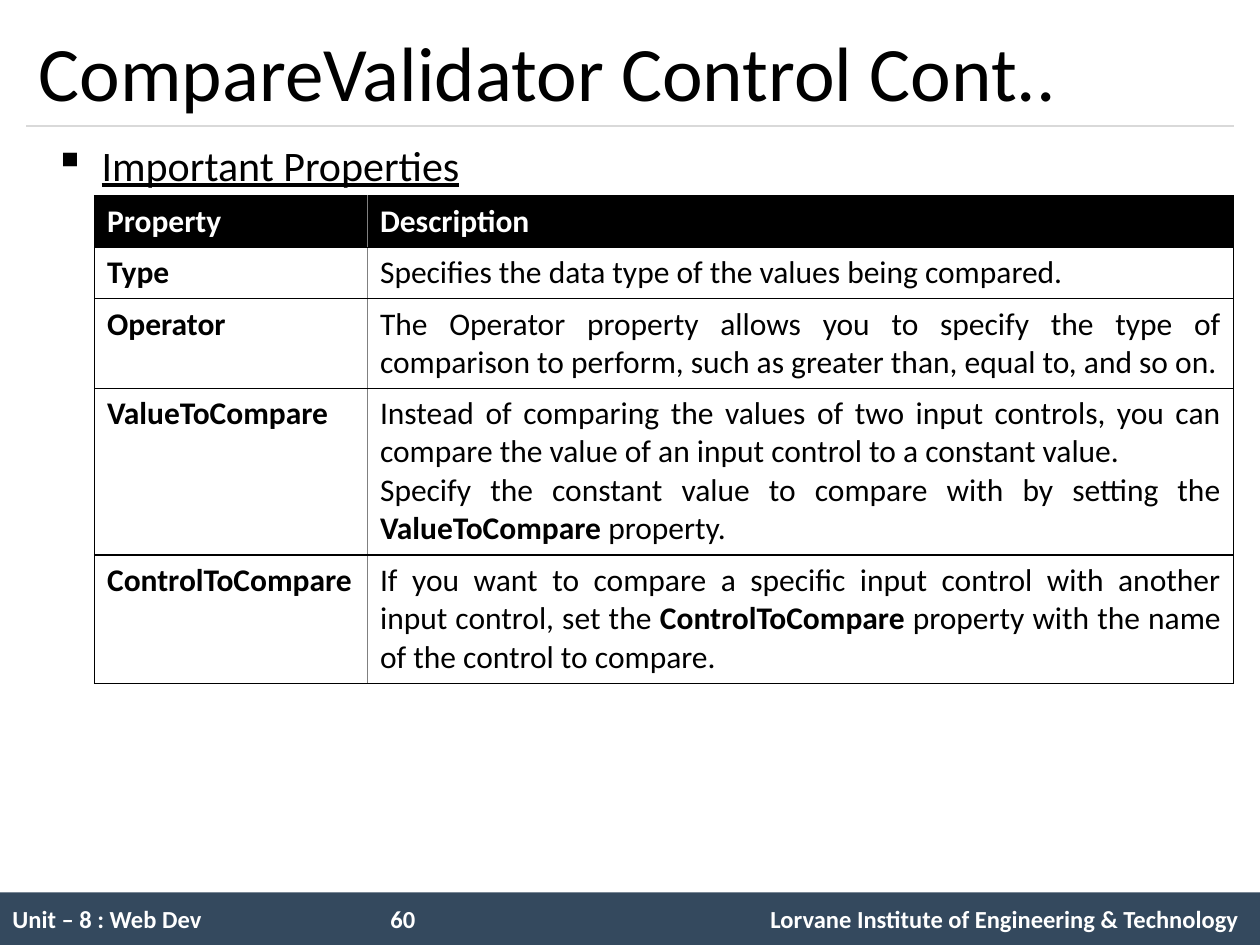
from typing import Any, NamedTuple

from lxml import etree
from pptx import Presentation, util as u
from pptx.dml.color import RGBColor
from pptx.enum import shapes as sh, text as tx
from pptx.oxml import ns

BLACK = RGBColor(0x00, 0x00, 0x00)
WHITE = RGBColor(0xFF, 0xFF, 0xFF)
SLATE = RGBColor(0x34, 0x49, 0x5E)
PALE = RGBColor(0xD9, 0xD9, 0xD9)
GREY = RGBColor(0x80, 0x80, 0x80)
FONT = "Calibri"
Pt = u.Pt


class Span(NamedTuple):
    text: str
    bold: bool = False


class Row(NamedTuple):
    name: str
    paras: list[list[Span]]
    tall: float


class Edge(NamedTuple):
    tag: str
    width: float
    color: RGBColor


ROWS = [
    Row("Property", [[Span("Description", True)]], 29.2),
    Row("Type", [[Span("Specifies the data type of the values being compared.")]], 29.6),
    Row("Operator", [[Span("The Operator property allows you to specify the type of "
                           "comparison to perform, such as greater than, equal to, and so on.")]], 51),
    Row("ValueToCompare", [
        [Span("Instead of comparing the values of two input controls, you can "
              "compare the value of an input control to a constant value. ")],
        [Span("Specify the constant value to compare with by setting the "),
         Span("ValueToCompare", True), Span(" property.")],
    ], 95.4),
    Row("ControlToCompare", [
        [Span("If you want to compare a specific input control with another input control, set the "),
         Span("ControlToCompare", True),
         Span(" property with the name of the control to compare.")],
    ], 73.4),
]
WIDTHS = [156, 495]


def apply(item: Any, form: dict[str, Any]) -> None:
    for key, value in form.items():
        setattr(item, key, value)


def style(font: Any, size: float, color: RGBColor, **more: Any) -> None:
    apply(font, {"name": FONT, "size": Pt(size), **more})
    font.color.rgb = color


def node(root: Any, tag: str, **attrs: str) -> Any:
    return etree.SubElement(root, ns.qn(tag), attrs)


def border(cell: Any, edges: list[Edge]) -> None:
    props = cell._tc.get_or_add_tcPr()
    for edge in edges:
        line = node(props, f"a:{edge.tag}", w=str(int(Pt(edge.width))))
        node(node(line, "a:solidFill"), "a:srgbClr", val=str(edge.color))


def fill(cell: Any, paras: list[list[Span]], head: bool, col: int) -> None:
    inner = Edge("lnR" if col == 0 else "lnL", 1, GREY)
    outer = Edge("lnL" if col == 0 else "lnR", 0.75, BLACK)
    sides = [outer, inner] if col == 0 else [inner, outer]
    border(cell, sides + [Edge("lnT", 0.75, BLACK), Edge("lnB", 0.75, BLACK)])
    cell.fill.solid()
    cell.fill.fore_color.rgb = BLACK if head else WHITE
    frame = cell.text_frame
    for num, spans in enumerate(paras):
        para = frame.add_paragraph() if num else frame.paragraphs[0]
        para.alignment = tx.PP_ALIGN.LEFT if head else tx.PP_ALIGN.JUSTIFY
        for span in spans:
            run = para.add_run()
            run.text = span.text
            style(run.font, 18, WHITE if head else BLACK, bold=span.bold)


def add_grid(slide: Any) -> None:
    tall = sum(row.tall for row in ROWS)
    grid = slide.shapes.add_table(len(ROWS), len(WIDTHS), Pt(54), Pt(112),
                                  Pt(sum(WIDTHS)), Pt(tall)).table
    grid.horz_banding = False
    for col, width in zip(grid.columns, WIDTHS):
        col.width = Pt(width)
    for num, row in enumerate(ROWS):
        grid.rows[num].height = Pt(row.tall)
        fill(grid.cell(num, 0), [[Span(row.name, True)]], num == 0, 0)
        fill(grid.cell(num, 1), row.paras, num == 0, 1)


def add_footer(slide: Any) -> None:
    bar = slide.shapes.add_shape(sh.MSO_SHAPE.RECTANGLE, Pt(0), Pt(510), Pt(720), Pt(30))
    bar.shadow.inherit = False
    bar.fill.solid()
    bar.fill.fore_color.rgb = SLATE
    bar.line.fill.background()
    bar.text_frame.vertical_anchor = tx.MSO_ANCHOR.MIDDLE
    para = bar.text_frame.paragraphs[0]
    para.alignment = tx.PP_ALIGN.LEFT
    tabs = node(para._p.get_or_add_pPr(), "a:tabLst")
    for pos, side in ((216, "l"), (700.8, "r")):
        node(tabs, "a:tab", pos=str(int(Pt(pos))), algn=side)
    run = para.add_run()
    run.text = "Unit – 8 : Web Dev\t60\tLorvane Institute of Engineering & Technology"
    style(run.font, 14, WHITE, bold=True)


def add_rule(slide: Any) -> None:
    rule = slide.shapes.add_connector(sh.MSO_CONNECTOR.STRAIGHT, Pt(15), Pt(72), Pt(705), Pt(72))
    rule.line.width = Pt(0.75)
    rule.line.color.rgb = PALE
    node(rule._element.spPr, "a:effectLst")


def add_title(slide: Any) -> None:
    title = slide.shapes.title
    apply(title, {"left": Pt(15), "top": Pt(9), "width": Pt(690), "height": Pt(63)})
    frame = title.text_frame
    apply(frame, {"text": "CompareValidator Control Cont..", "word_wrap": True,
                  "auto_size": tx.MSO_AUTO_SIZE.NONE,
                  "vertical_anchor": tx.MSO_ANCHOR.MIDDLE})
    para = frame.paragraphs[0]
    para.alignment = tx.PP_ALIGN.LEFT
    style(para.runs[0].font, 44, BLACK)


def add_point(slide: Any) -> None:
    frame = slide.shapes.add_textbox(Pt(15), Pt(72), Pt(690), Pt(42)).text_frame
    frame.word_wrap = True
    para = frame.paragraphs[0]
    apply(para, {"alignment": tx.PP_ALIGN.JUSTIFY, "line_spacing": 1.14})
    props = para._p.get_or_add_pPr()
    props.set("marL", str(int(Pt(36))))
    props.set("indent", str(int(Pt(-27))))
    node(props, "a:buChar", char="▪")
    run = para.add_run()
    run.text = "Important Properties"
    style(run.font, 24, BLACK, underline=True)


def main() -> None:
    deck = Presentation()
    apply(deck, {"slide_width": Pt(720), "slide_height": Pt(540)})
    slide = deck.slides.add_slide(deck.slide_layouts[5])
    for draw in (add_footer, add_rule, add_title, add_point, add_grid):
        draw(slide)
    deck.save("out.pptx")


if __name__ == "__main__":
    main()
